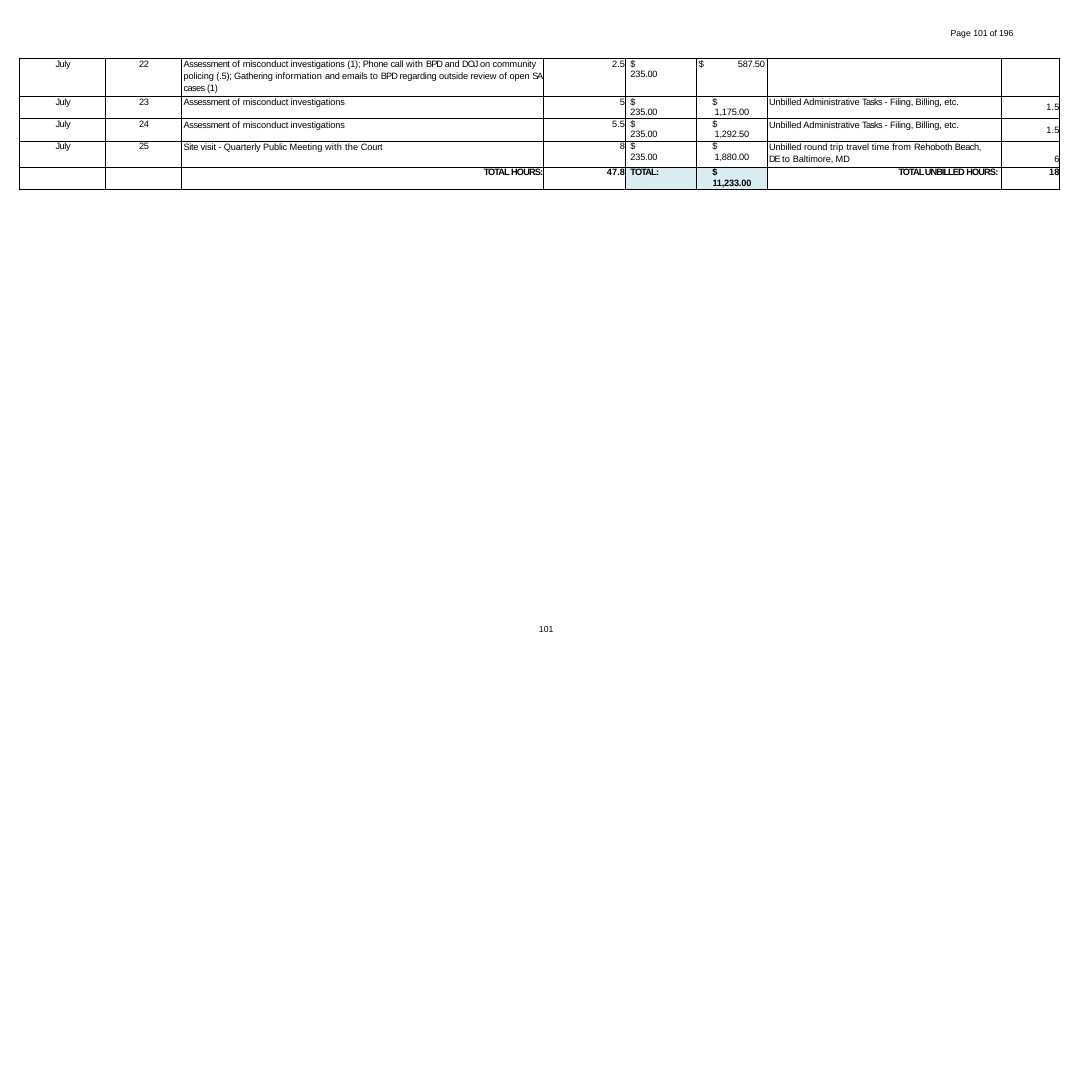
from lxml import etree
from pptx import Presentation
from pptx.dml.color import RGBColor
from pptx.enum.text import PP_ALIGN
from pptx.oxml.ns import qn
from pptx.util import Pt

LEFT, MID, RIGHT = PP_ALIGN.LEFT, PP_ALIGN.CENTER, PP_ALIGN.RIGHT
FONT = "Arial"
HEX = {"ink": "000000", "total": "D9EDF3"}

COLS = [79, 70.5, 334, 75.5, 65.5, 65.5, 216, 54]
ROWS = [35, 16.5, 16.5, 24, 11.5]
ALIGNS = [MID, MID, LEFT, RIGHT, LEFT, MID, LEFT, RIGHT]
INDENTS = [1.5, 1.5, 2, 0, 5, 1, 2, 0]
TOPS = [0.3, 0.3, 0.8, 0.3, 0.3, 0.3, 0.8, 0.3]

# Text is a list of paragraphs, each a list of (words, letter spacing)
REVIEW = [("Assessment ", -0.4), ("of ", 0.1), ("misconduct investigations", -0.1)]
CALLS = [
    REVIEW + [(" ", -0.1), ("(1); ", -0.2), ("Phone ", -0.3), ("call ", -0.2),
              ("with ", 0.2), ("BPD ", -0.9), ("and ", -0.2), ("DOJ ", -0.9),
              ("on community", -0.1)],
    [("policing ", -0.1), ("(.5); Gathering ", -0.2), ("information ", 0.1),
     ("and emails ", -0.2), ("to ", 0.2), ("BPD ", -0.9), ("regarding ", -0.2),
     ("outside review ", -0.1), ("of ", 0.1), ("open ", -0.1), ("SA ", -1.1),
     ("cases ", -0.6), ("(1)", -0.2)],
]
VISIT = [("Site ", -0.3), ("visit - Quarterly ", -0.1), ("Public ", -0.2),
         ("Meeting ", 0), ("with ", 0.2), ("the ", 0.1), ("Court", -0.2)]
ADMIN = [("Unbilled Administrative ", -0.1), ("Tasks ", -0.7), ("- ", -0.1),
         ("Filing, ", -0.2), ("Billing, etc.", -0.1)]
TRAVEL = [
    [("Unbilled ", -0.1), ("round ", 0), ("trip ", 0.2), ("travel ", 0),
     ("time from ", 0.1), ("Rehoboth ", -0.2), ("Beach,", -0.4)],
    [("DE ", -1.1), ("to ", 0.2), ("Baltimore, MD", -0.1)],
]

# Day, task, hours, amount, amount tab, unbilled task, unbilled hours, their top
DAYS = [
    ("22", CALLS, "2.5", "587.50", 33, [], "", 0),
    ("23", [REVIEW], "5", "1,175.00", 26.5, [ADMIN], "1.5", 5.8),
    ("24", [REVIEW], "5.5", "1,292.50", 26.5, [ADMIN], "1.5", 5.8),
    ("25", [VISIT], "8", "1,880.00", 26.5, TRAVEL, "6", 12),
]


def put_text(holder, frame, paras, size, align=LEFT, indent=0, top=0, tab=None,
             bold=False):
    # The holder owns the margins: a cell, or the frame of a text box
    holder.margin_left = holder.margin_right = holder.margin_bottom = 0
    holder.margin_top = Pt(top)
    for i, runs in enumerate(paras):
        para = frame.paragraphs[0] if i == 0 else frame.add_paragraph()
        para.alignment = align
        props = para._p.get_or_add_pPr()
        props.set("marL", str(int(Pt(indent))))
        props.set("indent", "0")
        if tab:
            stops = etree.SubElement(props, qn("a:tabLst"))
            etree.SubElement(stops, qn("a:tab"), pos=str(int(Pt(tab))), algn="l")
        font = para.font
        font.name, font.size, font.bold = FONT, Pt(size), bold
        font.color.rgb = RGBColor.from_string(HEX["ink"])
        for words, gap in runs:
            run = para.add_run()
            run.text = words
            run._r.get_or_add_rPr().set("spc", str(round(gap * 100)))
    if not paras:  # keeps an empty cell from stretching its row
        etree.SubElement(frame.paragraphs[0]._p, qn("a:endParaRPr"),
                         sz=str(int(size * 100)))


def add_note(slide, box, runs, indent):
    frame = slide.shapes.add_textbox(*map(Pt, box)).text_frame
    frame.word_wrap = True
    put_text(frame, frame, [runs], 8, indent=indent)


def style_cell(cell, tint):
    props = cell._tc.get_or_add_tcPr()
    for side in ("lnL", "lnR", "lnT", "lnB"):
        line = etree.SubElement(props, qn("a:" + side), w=str(int(Pt(0.75))))
        fill = etree.SubElement(line, qn("a:solidFill"))
        etree.SubElement(fill, qn("a:srgbClr"), val=HEX["ink"])
    if tint:
        cell.fill.solid()
        cell.fill.fore_color.rgb = RGBColor.from_string(tint)
    else:
        cell.fill.background()


def plain(text, gap=-0.2):
    return [[(text, gap)]]


def hours(text):
    cut = text.find(".")  # without a point, the last digit stands apart
    runs = [(text[:cut], 0.1), (text[cut:], 0)]
    return [[run for run in runs if run[0]]] if text else []


def day_row(day, task, spent, sum_, tab, extra, free, drop):
    texts = [plain("July", -0.4), plain(day), task, hours(spent),
             plain("$\t235.00"), plain("$\t" + sum_), extra, hours(free)]
    return texts, {4: {"tab": 36}, 5: {"tab": tab}, 7: {"top": drop}}


def total_row():
    texts = [[], [], [[("TOTAL ", -0.9), ("HOURS:", -0.8)]], hours("47.8"),
             plain("TOTAL:", -0.8), plain("$\t11,233.00"),
             [[("TOTAL UNBILLED ", -0.9), ("HOURS:", -0.8)]], hours("18")]
    return texts, {2: {"align": RIGHT, "indent": 0, "top": 0.3}, 5: {"tab": 21.5},
                   6: {"indent": 121.5, "top": 0.3}}


def add_bill(slide, left, top):
    box = map(Pt, (left, top, sum(COLS), sum(ROWS)))
    table = slide.shapes.add_table(len(ROWS), len(COLS), *box).table
    table.first_row = table.horz_banding = False
    for col, width in zip(table.columns, COLS):
        col.width = Pt(width)
    for row, height in zip(table.rows, ROWS):
        row.height = Pt(height)
    lines = [day_row(*day) for day in DAYS] + [total_row()]
    for r, (texts, tweaks) in enumerate(lines):
        last = r == len(DAYS)
        for c, paras in enumerate(texts):
            cell = table.cell(r, c)
            style_cell(cell, HEX["total"] if last and c in (4, 5) else None)
            look = {"align": ALIGNS[c], "indent": INDENTS[c], "top": TOPS[c],
                    "bold": last, **tweaks.get(c, {})}
            put_text(cell, cell.text_frame, paras, 8.5, **look)
    # Second lines of the two long texts
    table.cell(0, 2).text_frame.paragraphs[1].line_spacing = 1.15
    table.cell(3, 6).text_frame.paragraphs[1].space_before = Pt(1.6)


def main():
    deck = Presentation()
    deck.slide_width, deck.slide_height = Pt(1008), Pt(1000.8)
    slide = deck.slides.add_slide(deck.slide_layouts[6])
    # Foot, bill and head of the page
    add_note(slide, (495.5, 576, 17.5, 11), [("101", 0)], 2)
    add_bill(slide, 18, 54)
    add_note(slide, (876.5, 25.5, 62, 11.5), [("Page ", 0), ("101 of 196", -0.1)], 1)
    deck.save("out.pptx")


if __name__ == "__main__":
    main()
